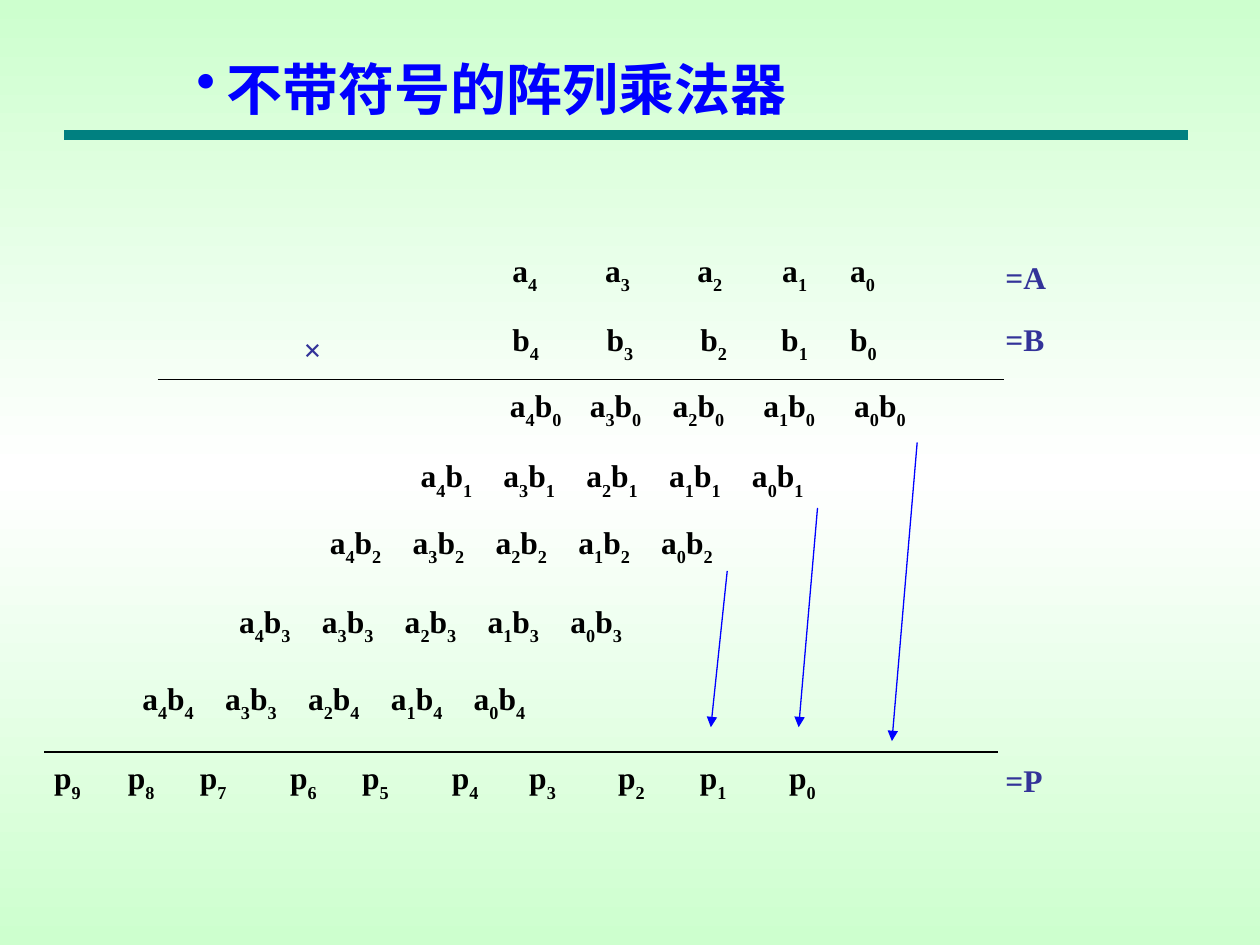
from copy import deepcopy

from lxml.etree import SubElement
from pptx import Presentation
from pptx.dml.color import RGBColor
from pptx.enum.shapes import MSO_CONNECTOR as Connector
from pptx.enum.text import MSO_ANCHOR as Anchor
from pptx.oxml.ns import qn
from pptx.util import Cm, Pt

SERIF = "Times New Roman"
BLUE, INDIGO, BLACK, TEAL = "0000FF", "333399", "000000", "008080"
PALE_GREEN, WHITE = "CDFFCE", "FFFFFF"


def color(hex_text):
    return RGBColor.from_string(hex_text)


def set_background(slide):
    fill = slide.background.fill
    fill.gradient()
    fill.gradient_angle = 90
    stop_list = slide.element.find(".//" + qn("a:gsLst"))
    stop_list.append(deepcopy(stop_list[0]))
    stops = zip(fill.gradient_stops, (0, 0.5, 1), (PALE_GREEN, WHITE, PALE_GREEN))
    for stop, position, hex_text in stops:
        stop.position = position
        stop.color.rgb = color(hex_text)


def add_run(paragraph, text, size=18, font=SERIF, fill=BLACK, subscript=False):
    run = paragraph.add_run()
    run.text = text
    run.font.size = Pt(size)
    run.font.name = font
    run.font.bold = True
    run.font.color.rgb = color(fill)
    if subscript:
        run.font._element.set("baseline", "-30000")


def add_text(slide, text, left, top, width, height=1.02, **font_format):
    """Add a one-line text box and return its paragraph."""
    shape = slide.shapes.add_textbox(Cm(left), Cm(top), Cm(width), Cm(height))
    frame = shape.text_frame
    frame.word_wrap = True
    frame.vertical_anchor = Anchor.TOP
    frame.margin_right = 0
    paragraph = frame.paragraphs[0]
    if text:
        add_run(paragraph, text, **font_format)
    return paragraph


def add_bullet(paragraph, hex_text, indent):
    properties = paragraph._p.get_or_add_pPr()
    properties.set("marL", str(Cm(indent)))
    properties.set("indent", str(-Cm(indent)))
    bullet_color = SubElement(properties, qn("a:buClr"))
    SubElement(bullet_color, qn("a:srgbClr")).set("val", hex_text)
    SubElement(properties, qn("a:buChar")).set("char", "•")


def add_terms(slide, terms, left, top, width, stops):
    """Set terms such as a4b0 on tab stops, with their digits as subscripts."""
    paragraph = add_text(slide, "", left, top, width, height=1.17)
    tab_list = SubElement(paragraph._p.get_or_add_pPr(), qn("a:tabLst"))
    for stop in stops:
        tab = SubElement(tab_list, qn("a:tab"))
        tab.set("pos", str(Cm(stop)))
        tab.set("algn", "l")
    for index, term in enumerate(terms.split()):
        for position, character in enumerate(term):
            lead = "\t" if index and position == 0 else ""
            add_run(paragraph, lead + character, subscript=character.isdigit())


def add_line(slide, start, end, hex_text=BLACK, width=0.75, arrow=False):
    x1, y1, x2, y2 = (Cm(value) for value in (*start, *end))
    line = slide.shapes.add_connector(Connector.STRAIGHT, x1, y1, x2, y2)
    line.line.color.rgb = color(hex_text)
    line.line.width = Pt(width)
    if arrow:
        SubElement(line.line._get_or_add_ln(), qn("a:tailEnd")).set("type", "triangle")
    SubElement(line._element.spPr, qn("a:effectLst"))


def main():
    presentation = Presentation()
    presentation.slide_width, presentation.slide_height = Cm(25.4), Cm(19.05)
    slide = presentation.slides.add_slide(presentation.slide_layouts[6])
    set_background(slide)

    # Title and rule
    add_line(slide, (1.3, 2.72), (23.95, 2.72), TEAL, 6)
    title = add_text(slide, "不带符号的阵列乘法器", 3.71, 0.97, 12.8, 1.63,
                     size=32, font="DejaVu Sans", fill=BLUE)
    add_bullet(title, BLUE, 0.6)

    # Factors
    add_terms(slide, "a4 a3 a2 a1 a0", 10.08, 4.93, 7.8, (1.87, 3.73, 5.44, 6.81))
    add_terms(slide, "b4 b3 b2 b1 b0", 10.08, 6.32, 7.85, (1.9, 3.79, 5.42, 6.81))
    add_line(slide, (3.18, 7.65), (20.24, 7.65))

    # Partial products
    add_terms(slide, "a4b0 a3b0 a2b0 a1b0 a0b0", 10.03, 7.65, 8.48,
              (1.61, 3.28, 5.11, 6.94))
    even_stops = [1.67 * step for step in range(1, 5)]
    for terms, left, top in (
        ("a4b1 a3b1 a2b1 a1b1 a0b1", 8.23, 9.07),
        ("a4b2 a3b2 a2b2 a1b2 a0b2", 6.4, 10.41),
        ("a4b3 a3b3 a2b3 a1b3 a0b3", 4.57, 12.01),
        ("a4b4 a3b3 a2b4 a1b4 a0b4", 2.62, 13.56),
    ):
        add_terms(slide, terms, left, top, 8.23, even_stops)

    # Product
    add_line(slide, (0.89, 15.16), (20.12, 15.16))
    add_terms(slide, "p9 p8 p7 p6 p5 p4 p3 p2 p1 p0", 0.84, 15.16, 15.88,
              (1.49, 2.94, 4.76, 6.21, 8.02, 9.58, 11.37, 13.02, 14.82))

    # Operator and row labels
    for text, left, top, width in (
        ("×", 5.87, 6.53, 0.86),
        ("=A", 20.02, 5.08, 1.32),
        ("=B", 20.02, 6.32, 1.32),
        ("=P", 20.02, 15.21, 1.32),
    ):
        add_text(slide, text, left, top, width, fill=INDIGO)

    # Column sum arrows
    for start, end in (
        ((18.49, 8.92), (17.98, 14.94)),
        ((16.48, 10.24), (16.1, 14.66)),
        ((14.66, 11.51), (14.33, 14.66)),
    ):
        add_line(slide, start, end, BLUE, arrow=True)

    presentation.save("out.pptx")


if __name__ == "__main__":
    main()
